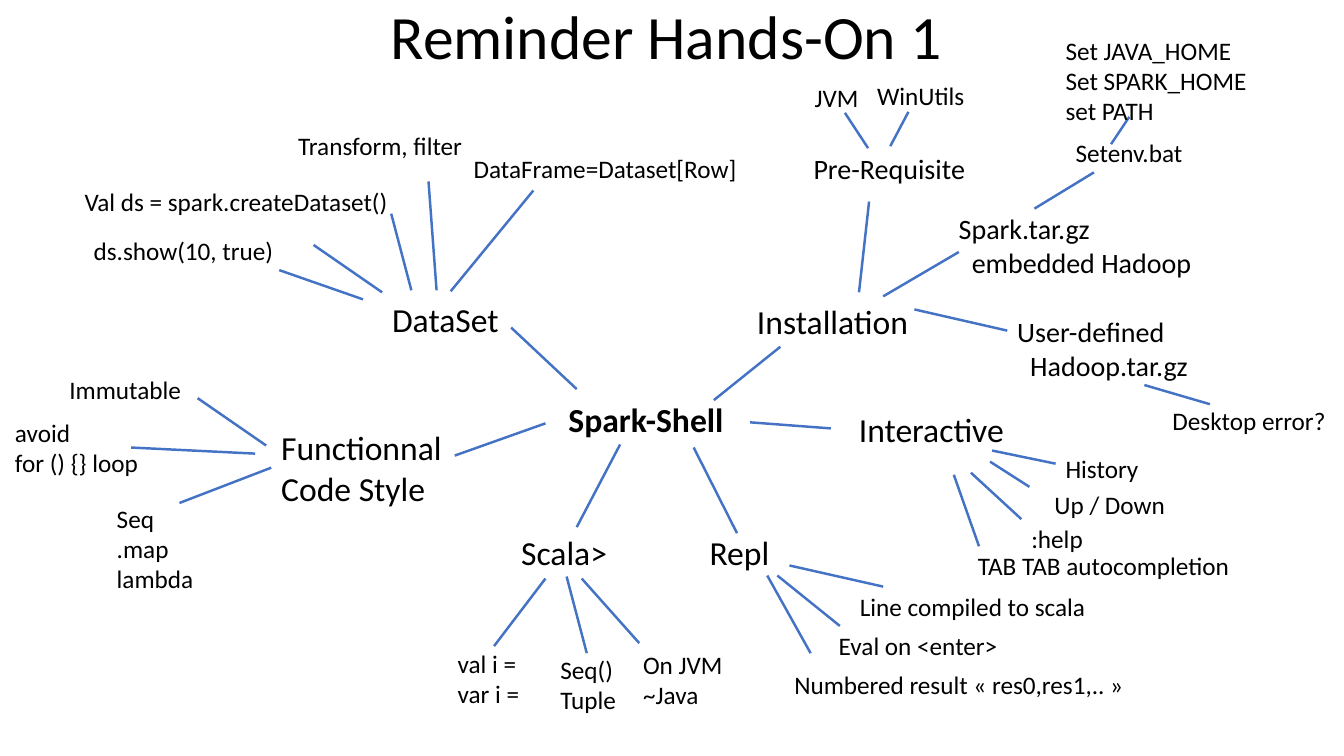
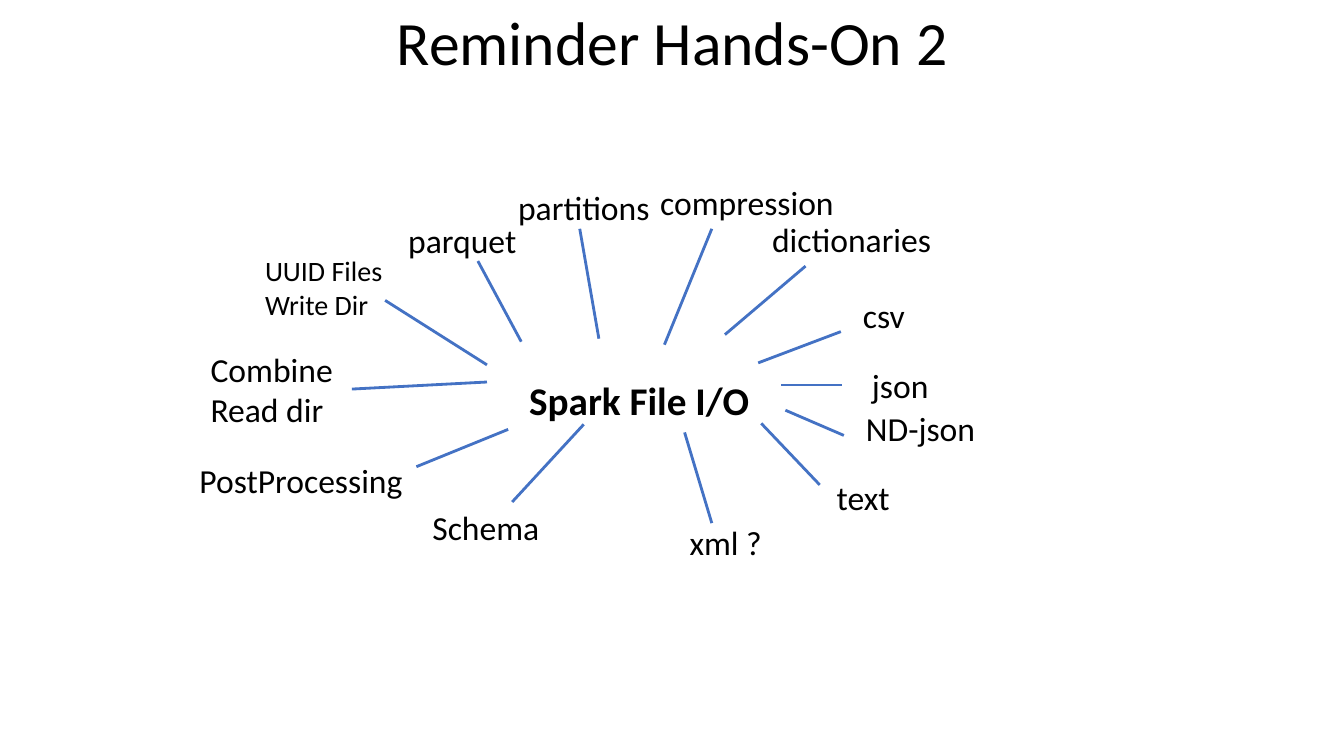
from pptx import Presentation
from pptx.dml.color import RGBColor
from pptx.enum.shapes import MSO_CONNECTOR
from pptx.enum.text import MSO_ANCHOR, MSO_AUTO_SIZE, PP_ALIGN
from pptx.util import Inches, Pt
from lxml import etree

STRAIGHT = MSO_CONNECTOR.STRAIGHT
MIDDLE = MSO_ANCHOR.MIDDLE
FIT_SHAPE = MSO_AUTO_SIZE.SHAPE_TO_FIT_TEXT
FIXED = MSO_AUTO_SIZE.NONE
CENTER, LEFT = PP_ALIGN.CENTER, PP_ALIGN.LEFT
DRAWING_NS = "http://schemas.openxmlformats.org/drawingml/2006/main"

THEME = {
    "font": "Calibri",
    "ink": RGBColor(0x00, 0x00, 0x00),
    "spoke": RGBColor(0x44, 0x72, 0xC4),
    "title": 44,
    "big hub": 28,
    "hub": 24,
    "branch": 24,
    "topic": 20,
    "leaf": 18,
}
BOLD_ROLES = {"big hub", "hub"}
WRAP = {"wrap": True}
INDENT = {"indent": 0.13}  # left indent of the second line


def add_label(slide, text, role, left, top, width, height=None, wrap=False, indent=0):
    """Add a text box; without a height it is as tall as its lines."""
    lines = text.split("\n")
    size = THEME[role]
    is_title = role == "title"
    height = height or len(lines) * size * 1.2 / 72 + 0.1
    frame = slide.shapes.add_textbox(
        Inches(left), Inches(top), Inches(width), Inches(height)).text_frame
    frame_format = {"text": text, "word_wrap": wrap,
                    "auto_size": FIXED if is_title else FIT_SHAPE}
    if is_title:
        frame_format["vertical_anchor"] = MIDDLE
    for name, value in frame_format.items():
        setattr(frame, name, value)

    font_format = {"name": THEME["font"], "size": Pt(size), "bold": role in BOLD_ROLES}
    for number, paragraph in enumerate(frame.paragraphs):
        paragraph.alignment = CENTER if is_title else LEFT
        if is_title:
            paragraph.line_spacing = 0.9
        if indent and number:
            paragraph._p.get_or_add_pPr().set("marL", str(Inches(indent)))
        for run in paragraph.runs:
            for name, value in font_format.items():
                setattr(run.font, name, value)
            run.font.color.rgb = THEME["ink"]


def add_spoke(slide, ends, weight):
    """Add a plain line between two points given as x1, y1, x2, y2."""
    spoke = slide.shapes.add_connector(STRAIGHT, *[Inches(value) for value in ends])
    spoke.line.color.rgb = THEME["spoke"]
    spoke.line.width = Pt(weight)
    etree.SubElement(spoke._element.spPr, f"{{{DRAWING_NS}}}effectLst")


# Labels: text, role, left, top, width and, where needed, extra settings
shell_map = {
    "title": ("Reminder Hands-On 1", "title", 0.86, 0.01, 11.5, 0.77),
    "weight": 1.75,
    "labels": [
        ("Spark-Shell", "hub", 5.54, 3.91, 1.77),
        # Installation
        ("Installation", "branch", 7.41, 2.94, 1.77),
        ("Pre-Requisite", "topic", 7.97, 1.45, 1.72),
        ("JVM", "leaf", 7.98, 0.77, 0.79, WRAP),
        ("WinUtils", "leaf", 8.6, 0.75, 1.22, WRAP),
        ("Spark.tar.gz\nembedded Hadoop", "topic", 9.41, 2.05, 2.52, INDENT),
        ("Setenv.bat", "leaf", 10.57, 1.31, 1.27),
        ("Set JAVA_HOME\nSet SPARK_HOME\nset PATH", "leaf", 10.47, 0.3, 2.01),
        ("User-defined\nHadoop.tar.gz", "topic", 9.99, 3.07, 1.9, INDENT),
        ("Desktop error?", "leaf", 11.53, 3.97, 1.85),
        # Interactive
        ("Interactive", "branch", 8.42, 4.01, 1.66),
        ("History", "leaf", 10.47, 4.45, 0.93),
        ("Up / Down", "leaf", 10.36, 4.81, 1.31),
        (":help", "leaf", 10.13, 5.14, 0.72),
        ("TAB TAB autocompletion", "leaf", 9.6, 5.41, 2.72),
        # Repl
        ("Repl", "branch", 6.94, 5.23, 0.8),
        ("Line compiled to scala", "leaf", 8.43, 5.82, 2.53),
        ("Eval on <enter>", "leaf", 8.22, 6.2, 1.79),
        ("Numbered result « res0,res1,.. »", "leaf", 7.78, 6.59, 3.5),
        # Scala
        ("Scala>", "branch", 5.07, 5.23, 1.4, WRAP),
        ("val i =\nvar i =", "leaf", 4.44, 6.38, 0.88),
        ("Seq()\nTuple", "leaf", 5.46, 6.44, 0.76),
        ("On JVM\n~Java", "leaf", 6.28, 6.39, 1),
        # Functional style
        ("Functionnal\nCode Style", "branch", 2.69, 4.19, 2.38, WRAP),
        ("Immutable", "leaf", 0.59, 3.66, 1.32),
        ("avoid\nfor () {} loop", "leaf", 0.05, 4.09, 1.45, WRAP),
        ("Seq\n.map\nlambda", "leaf", 1.06, 4.94, 0.97),
        # DataSet
        ("DataSet", "branch", 3.79, 2.92, 1.99, WRAP),
        ("ds.show(10, true)", "leaf", 0.83, 2.29, 2),
        ("Val ds = spark.createDataset()", "leaf", 0.74, 1.8, 3.24),
        ("Transform, filter", "leaf", 2.86, 1.24, 1.84),
        ("DataFrame=Dataset[Row]", "leaf", 4.6, 1.47, 2.83),
    ],
    "spokes": [
        # Hub to branches
        (7.08, 3.97, 7.74, 3.44), (7.44, 4.19, 8.24, 4.25), (6.88, 4.44, 7.31, 5.29),
        (6.15, 4.41, 5.72, 5.23), (5.41, 4.2, 4.51, 4.52), (5.72, 3.86, 5.07, 3.25),
        # Installation
        (8.52, 2.9, 8.62, 2), (8.38, 1.12, 8.61, 1.47), (9.01, 1.11, 8.83, 1.45),
        (8.76, 2.94, 9.51, 2.5), (10.26, 2.07, 10.85, 1.71), (11.02, 1.43, 11.2, 1.16),
        (9.07, 3.07, 9.99, 3.28), (11.35, 3.82, 12, 4.01),
        # Interactive
        (9.84, 4.47, 10.47, 4.6), (9.82, 4.58, 10.21, 4.83),
        (9.63, 4.69, 10.13, 5.15), (9.46, 4.71, 9.71, 5.42),
        # Repl
        (7.83, 5.61, 8.76, 5.82), (7.71, 5.71, 8.33, 6.21), (7.61, 5.71, 8.04, 6.48),
        # Scala
        (5.41, 5.74, 4.9, 6.41), (5.62, 5.72, 5.82, 6.48), (5.77, 5.74, 6.34, 6.38),
        # Functional style
        (1.96, 3.95, 2.64, 4.42), (1.3, 4.44, 2.53, 4.5), (1.78, 4.99, 2.69, 4.64),
        # DataSet
        (2.77, 2.68, 3.6, 2.97), (3.11, 2.43, 3.79, 2.9), (3.88, 2.12, 4.08, 2.88),
        (4.25, 1.8, 4.33, 2.88), (5.29, 1.89, 4.47, 2.89),
    ],
}

file_map = {
    "title": ("Reminder Hands-On 2", "title", 0.92, 0, 11.5, 0.9),
    "weight": 2,
    "labels": [
        ("Spark File I/O", "big hub", 5.15, 3.68, 2.41),
        # Formats
        ("csv", "branch", 8.46, 2.88, 0.62),
        ("json", "branch", 8.55, 3.57, 0.77),
        ("ND-json", "branch", 8.49, 4, 1.3),
        ("text", "branch", 8.2, 4.68, 0.73),
        ("xml ?", "branch", 6.74, 5.13, 0.95),
        # Processing
        ("Schema", "branch", 4.19, 4.98, 1.27),
        ("PostProcessing", "branch", 1.88, 4.51, 2.23),
        ("Combine \nRead dir", "branch", 1.99, 3.41, 1.5),
        ("UUID Files\nWrite Dir", "topic", 2.53, 2.47, 1.38),
        # Storage
        ("parquet", "branch", 3.95, 2.13, 1.29),
        ("partitions", "branch", 5.04, 1.81, 1.52),
        ("compression", "branch", 6.45, 1.76, 1.94),
        ("dictionaries", "branch", 7.56, 2.12, 1.8),
    ],
    "spokes": [
        # Formats
        (7.52, 3.6, 8.34, 3.29), (7.75, 3.82, 8.35, 3.82), (7.79, 4.07, 8.37, 4.32),
        (7.55, 4.2, 8.13, 4.81), (6.79, 4.29, 7.06, 5.19),
        # Processing
        (5.79, 4.21, 5.08, 4.98), (5.04, 4.26, 4.13, 4.63),
        (4.83, 3.79, 3.49, 3.86), (4.83, 3.62, 3.82, 2.98),
        # Storage
        (5.17, 3.39, 4.74, 2.59), (5.75, 2.27, 5.94, 3.36),
        (7.06, 2.27, 6.59, 3.42), (7.99, 2.64, 7.19, 3.32),
    ],
}

deck = Presentation()
deck.slide_width, deck.slide_height = Inches(13.33), Inches(7.5)
blank_layout = deck.slide_layouts[6]

for mind_map in (shell_map, file_map):
    slide = deck.slides.add_slide(blank_layout)
    add_label(slide, *mind_map["title"], **WRAP)
    for ends in mind_map["spokes"]:
        add_spoke(slide, ends, mind_map["weight"])
    for text, role, left, top, width, *extras in mind_map["labels"]:
        settings = extras[0] if extras else {}
        add_label(slide, text, role, left, top, width, **settings)

deck.save("out.pptx")
